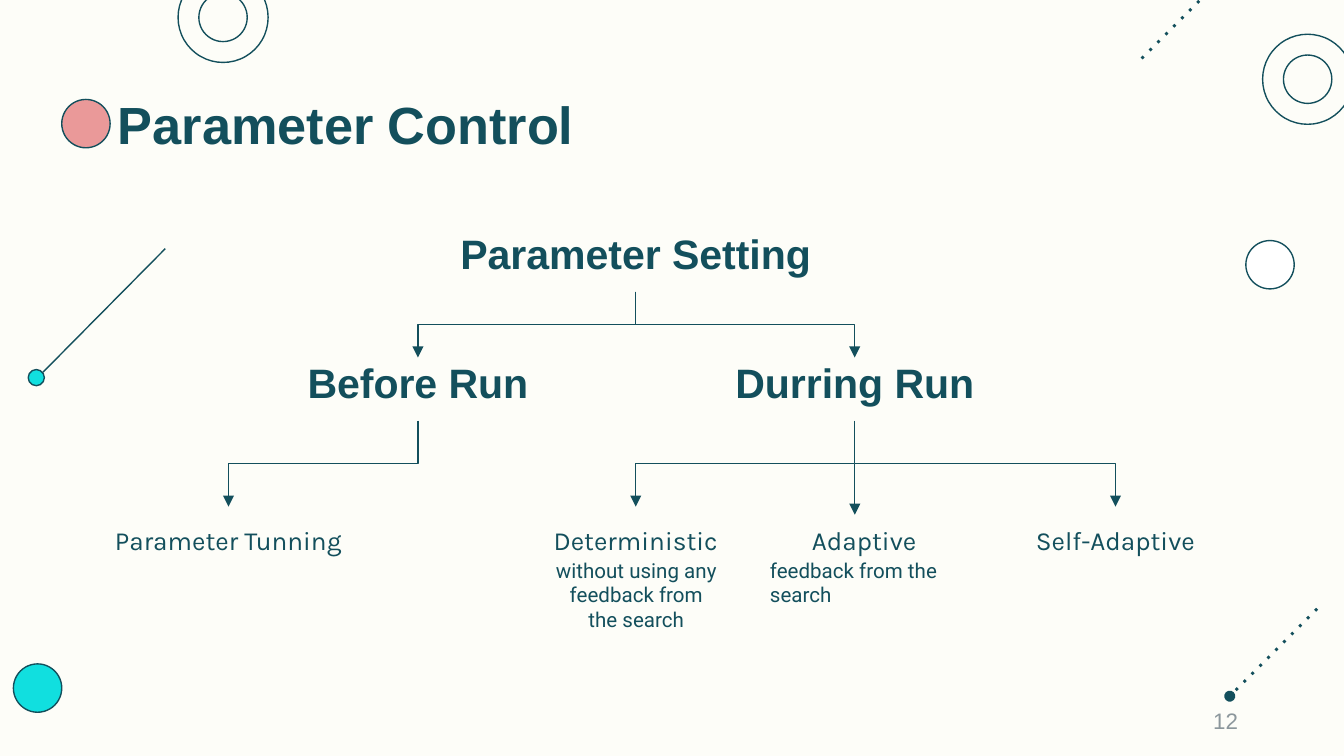
from lxml import etree
from pptx import Presentation
from pptx.dml.color import RGBColor
from pptx.enum import shapes, text
from pptx.oxml.ns import qn
from pptx.util import Inches, Pt

TEAL, CYAN, PINK, WHITE = "134F5C", "11DFDF", "EA9999", "FFFFFF"
BACKGROUND, GREY = "FDFDF8", "8C979C"
LEFT, CENTER, RIGHT = text.PP_ALIGN.LEFT, text.PP_ALIGN.CENTER, text.PP_ALIGN.RIGHT
TOP, MIDDLE, BOTTOM = (text.MSO_ANCHOR.TOP, text.MSO_ANCHOR.MIDDLE,
                       text.MSO_ANCHOR.BOTTOM)
NODE_W = 2.38


def paint(fmt, color):
    """Give a fill or line fill a solid colour."""
    fmt.solid()
    fmt.fore_color.rgb = RGBColor.from_string(color)


def add_text(s, x, y, w, h, content, size=14, font="Arial", color=TEAL, bold=False,
             align=LEFT, anchor=TOP, spacing=None, inset=0.1):
    sp = s.shapes.add_textbox(Inches(x), Inches(y), Inches(w), Inches(h))
    tf = sp.text_frame
    tf.word_wrap = True
    tf.vertical_anchor = anchor
    tf.margin_top = tf.margin_bottom = Inches(inset)
    for i, line in enumerate(content.split("\n")):
        p = tf.add_paragraph() if i else tf.paragraphs[0]
        p.alignment = align
        if spacing:
            p.line_spacing = spacing
        r = p.add_run()
        r.text = line
        r.font.name, r.font.size, r.font.bold = font, Pt(size), bold
        r.font.color.rgb = RGBColor.from_string(color)
    return sp


def add_heading(s, x, y, w, content):
    return add_text(s, x, y, w, 0.47, content, size=22, bold=True, align=CENTER,
                    anchor=BOTTOM, spacing=1.15)


def add_leaf(s, x, content):
    return add_text(s, x, 3.77, NODE_W, 0.58, content, font="Karla", align=CENTER,
                    spacing=1.15)


def add_note(s, x, w, h, content, align=LEFT):
    sp = add_text(s, x, 4.1, w, h, content, size=11, font="Roboto", align=align,
                  inset=0.05)
    sp.text_frame.auto_size = text.MSO_AUTO_SIZE.SHAPE_TO_FIT_TEXT


def add_circle(s, cx, cy, d, fill=None):
    sp = s.shapes.add_shape(shapes.MSO_SHAPE.OVAL, Inches(cx - d / 2),
                            Inches(cy - d / 2), Inches(d), Inches(d))
    sp.shadow.inherit = False
    paint(sp.line.fill, TEAL)
    sp.line.width = Pt(0.75)
    if fill:
        paint(sp.fill, fill)
    else:
        sp.fill.background()


def add_rings(s, cx, cy):
    for d in (0.67, 0.36):
        add_circle(s, cx, cy, d)


def add_line(s, x1, y1, x2, y2, width=0.75, dash=None, tail=None,
             kind=shapes.MSO_CONNECTOR.STRAIGHT):
    c = s.shapes.add_connector(kind, Inches(x1), Inches(y1), Inches(x2), Inches(y2))
    paint(c.line.fill, TEAL)
    c.line.width = Pt(width)
    ln = c.line._get_or_add_ln()
    if dash:
        etree.SubElement(ln, qn("a:prstDash")).set("val", dash)
    if tail:
        etree.SubElement(ln, qn("a:tailEnd")).set("type", tail)
    etree.SubElement(c._element.spPr, qn("a:effectLst"))
    return c


def add_branch(s, parent, child):
    """Elbow arrow: down from the parent, across, and down to the child."""
    x1, y1 = parent.left + parent.width // 2, parent.top + parent.height
    x2, y2 = child.left + child.width // 2, child.top
    c = add_line(s, 0, 0, 1, 1, tail="triangle", kind=shapes.MSO_CONNECTOR.ELBOW)
    c.begin_connect(parent, 2)
    c.end_connect(child, 0)
    # A turned frame makes the elbow leave vertically
    c.width, c.height = y2 - y1, abs(x2 - x1)
    c.left = (x1 + x2 - c.width) // 2
    c.top = (y1 + y2 - c.height) // 2
    to_right = x2 > x1
    xfrm = c._element.spPr.find(qn("a:xfrm"))
    xfrm.set("rot", str((270 if to_right else 90) * 60000))
    xfrm.set("flipH", "1" if to_right else "0")
    xfrm.set("flipV", "0")


def add_corner(s, x, y, child):
    """Elbow arrow with one bend: across, then down to the child."""
    end_x = (child.left + child.width / 2) / Inches(1)
    c = add_line(s, x, y, end_x, child.top / Inches(1), tail="triangle",
                 kind=shapes.MSO_CONNECTOR.ELBOW)
    c.end_connect(child, 0)
    c._element.spPr.find(qn("a:prstGeom")).set("prst", "bentConnector2")


def add_decoration(s):
    add_line(s, 9.8, 4.53, 9.15, 5.18, width=1.5, dash="dot", tail="oval")
    add_line(s, 9.1, -0.17, 8.46, 0.47, width=1.5, dash="dot")
    add_line(s, 0.32, 2.77, 1.23, 1.85)
    add_rings(s, 1.66, 0.13)
    add_rings(s, 9.73, 0.59)
    for cx, cy, d, fill in ((0.64, 0.92, 0.36, PINK), (0.27, 2.81, 0.12, CYAN),
                            (9.45, 1.97, 0.36, WHITE), (0.28, 5.12, 0.36, CYAN)):
        add_circle(s, cx, cy, d, fill)


def add_tree(s):
    # Headings and leaves
    setting = add_heading(s, 3.04, 1.7, 3.38, "Parameter Setting")
    before = add_heading(s, 1.92, 2.66, NODE_W, "Before Run")
    during = add_heading(s, 5.17, 2.66, NODE_W, "Durring Run")
    tuning = add_leaf(s, 0.51, "Parameter Tunning")
    deterministic = add_leaf(s, 3.54, "Deterministic")
    add_leaf(s, 5.24, "Adaptive")
    self_adaptive = add_leaf(s, 7.11, "Self-Adaptive")

    # Arrows
    for parent, child in ((setting, before), (setting, during), (before, tuning),
                          (during, deterministic)):
        add_branch(s, parent, child)
    add_corner(s, 6.36, 3.45, self_adaptive)
    add_line(s, 6.36, 3.45, 6.36, 3.83, tail="triangle")

    # Notes under the leaves
    add_note(s, 4.03, 1.41, 0.66, "without using any\nfeedback from the search", CENTER)
    add_note(s, 5.63, 1.79, 0.29, "feedback from the search")


def main():
    prs = Presentation()
    prs.slide_width = Inches(10)
    prs.slide_height = prs.slide_width * 9 // 16
    s = prs.slides.add_slide(prs.slide_layouts[6])
    paint(s.background.fill, BACKGROUND)
    add_decoration(s)
    add_text(s, 0.78, 0.59, 8.44, 0.66, "Parameter Control", size=28, bold=True)
    add_tree(s)
    # Page number
    add_text(s, 7.06, 5.21, 2.25, 0.3, "12", size=12, color=GREY, align=RIGHT,
             anchor=MIDDLE, inset=0.05)
    prs.save("out.pptx")


if __name__ == "__main__":
    main()
